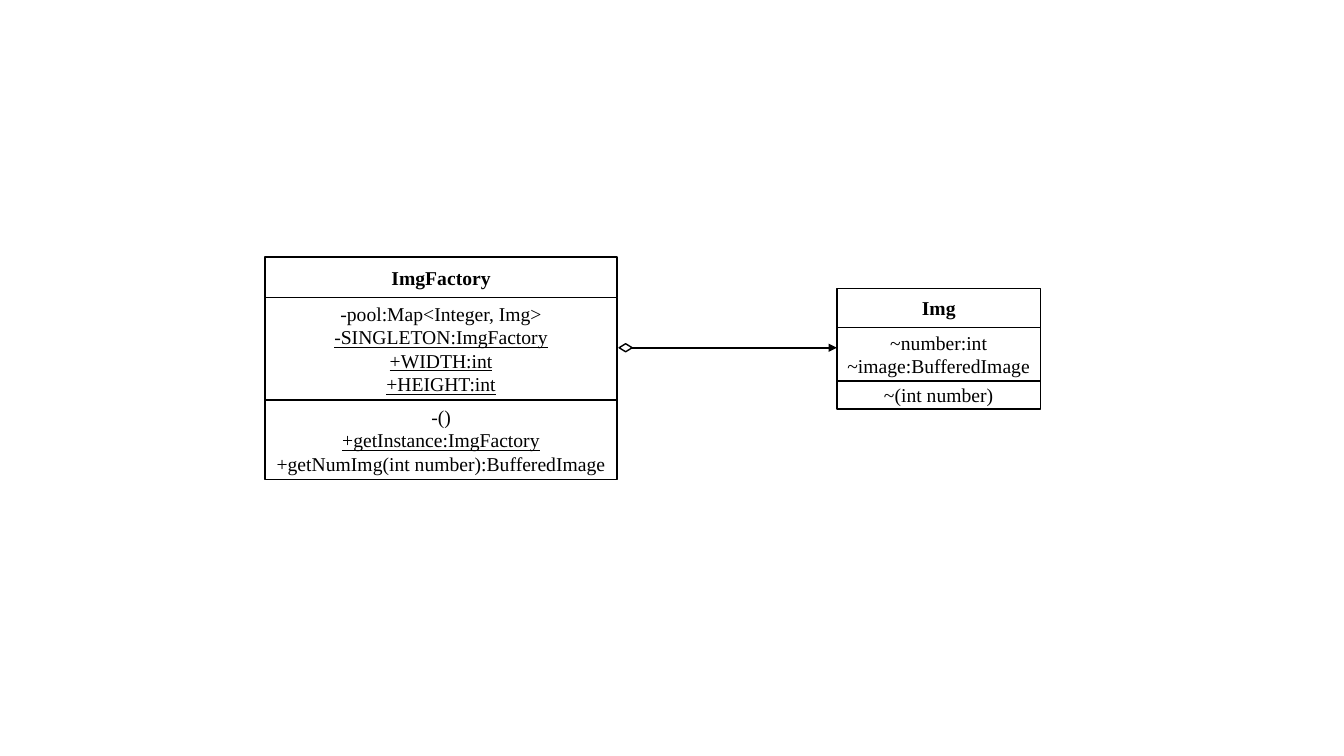
from lxml import etree
from pptx import Presentation
from pptx.dml.color import RGBColor
from pptx.enum.shapes import MSO_CONNECTOR, MSO_SHAPE
from pptx.enum.text import MSO_ANCHOR, PP_ALIGN
from pptx.oxml.ns import qn
from pptx.util import Inches, Pt

BLACK, WHITE = "000000", "FFFFFF"
TEXT_FORMAT = {"name": "Times New Roman", "size": Pt(14)}
FRAME_FORMAT = {
    "word_wrap": True,
    "vertical_anchor": MSO_ANCHOR.MIDDLE,
    "margin_left": Inches(0.05),
    "margin_right": Inches(0.05),
    "margin_top": Inches(0),
    "margin_bottom": Inches(0),
}
FACTORY_COMPARTMENTS = [
    (0.4, ["ImgFactory"]),
    (1.02, ["-pool:Map<Integer, Img>", "-SINGLETON:ImgFactory", "+WIDTH:int", "+HEIGHT:int"]),
    (0.79, ["-()", "+getInstance:ImgFactory", "+getNumImg(int number):BufferedImage"]),
]
IMAGE_COMPARTMENTS = [
    (0.39, ["Img"]),
    (0.53, ["~number:int", "~image:BufferedImage"]),
    (0.28, ["~(int number)"]),
]
STATIC_MEMBERS = {"-SINGLETON:ImgFactory", "+WIDTH:int", "+HEIGHT:int", "+getInstance:ImgFactory"}


def color(value):
    """Turn a hex string into a colour."""
    return RGBColor.from_string(value)


def apply_format(target, values):
    """Set each named attribute on the target."""
    for name, value in values.items():
        setattr(target, name, value)


def add_outlined_shape(shapes, kind, left, top, width, height):
    """Add a white shape with a thin black outline."""
    shape = shapes.add_shape(kind, Inches(left), Inches(top), Inches(width), Inches(height))
    shape.shadow.inherit = False
    shape.fill.solid()
    shape.fill.fore_color.rgb = color(WHITE)
    shape.line.color.rgb = color(BLACK)
    shape.line.width = Pt(1)
    return shape


def write_members(text_frame, members, bold):
    """Write one centred paragraph per member, underlining the static ones."""
    apply_format(text_frame, FRAME_FORMAT)
    for index, member in enumerate(members):
        paragraph = text_frame.paragraphs[0] if index == 0 else text_frame.add_paragraph()
        paragraph.alignment = PP_ALIGN.CENTER
        run = paragraph.add_run()
        run.text = member
        apply_format(run.font, {**TEXT_FORMAT, "bold": bold, "underline": member in STATIC_MEMBERS})
        run.font.color.rgb = color(BLACK)


def add_class_box(slide, left, top, width, compartments):
    """Stack the compartments of one class as a group, with a bold name on top."""
    group = slide.shapes.add_group_shape()
    for index, (height, members) in enumerate(compartments):
        shape = add_outlined_shape(group.shapes, MSO_SHAPE.RECTANGLE, left, top, width, height)
        write_members(shape.text_frame, members, bold=index == 0)
        top += height


def add_aggregation(slide, left, right, middle):
    """Draw a hollow diamond at the left and an arrow that ends at the right."""
    width, length = 0.08, 0.13
    center = left + length / 2
    diamond = add_outlined_shape(
        slide.shapes, MSO_SHAPE.DIAMOND, center - width / 2, middle - length / 2, width, length
    )
    diamond.rotation = 90
    arrow = slide.shapes.add_connector(
        MSO_CONNECTOR.STRAIGHT,
        Inches(left + length), Inches(middle), Inches(right), Inches(middle),
    )
    arrow.line.color.rgb = color(BLACK)
    arrow.line.width = Pt(1.5)
    etree.SubElement(arrow.line._get_or_add_ln(), qn("a:tailEnd"), type="triangle")
    etree.SubElement(arrow._element.spPr, qn("a:effectLst"))


def main():
    """Build the class diagram slide."""
    presentation = Presentation()
    presentation.slide_width = Inches(13.33)
    presentation.slide_height = Inches(7.5)
    slide = presentation.slides.add_slide(presentation.slide_layouts[6])
    add_class_box(slide, 8.3, 2.86, 2.02, IMAGE_COMPARTMENTS)
    add_class_box(slide, 2.63, 2.55, 3.49, FACTORY_COMPARTMENTS)
    add_aggregation(slide, 6.14, 8.3, 3.45)
    presentation.save("out.pptx")


if __name__ == "__main__":
    main()
